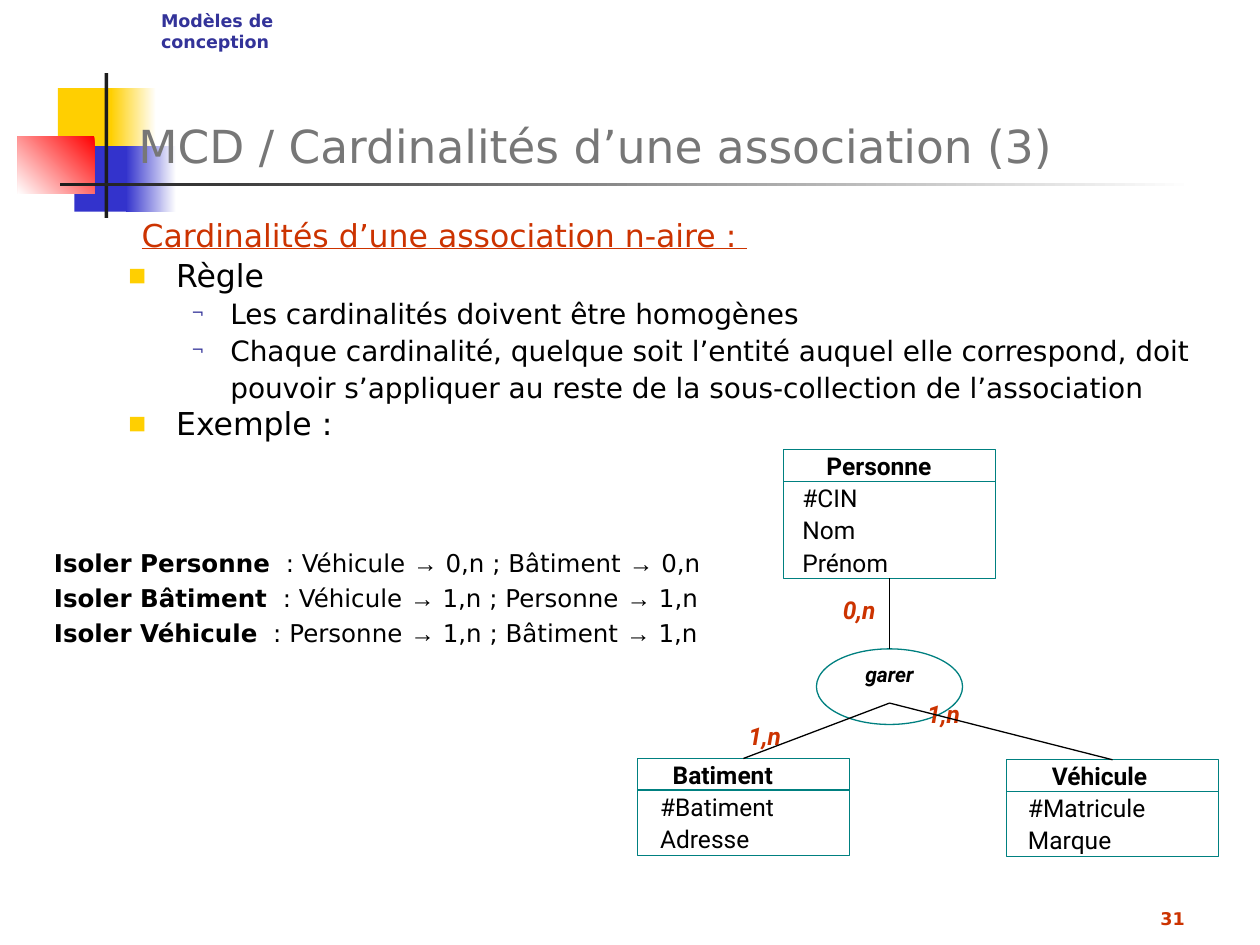
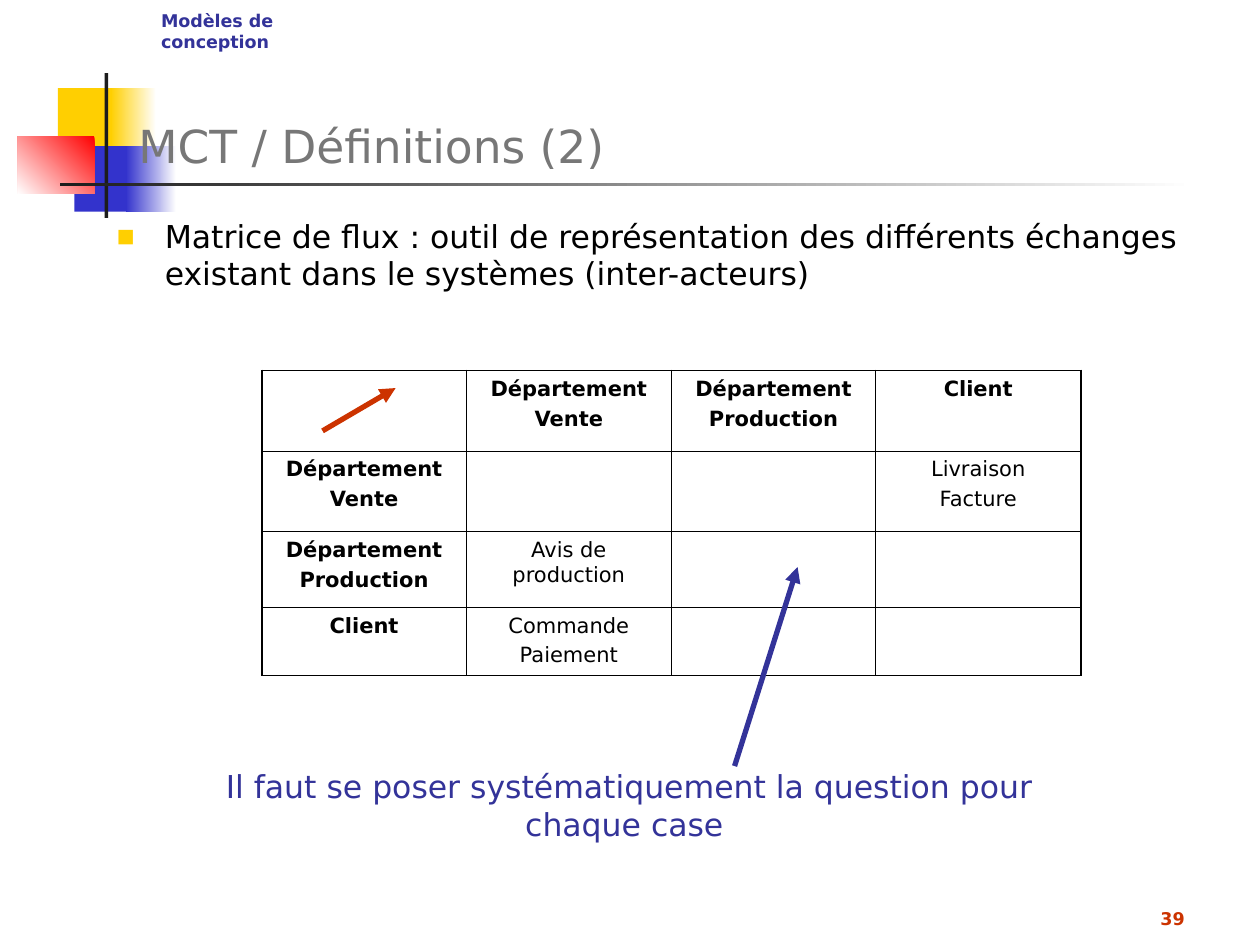
from lxml.etree import SubElement
from pptx import Presentation
from pptx.dml.color import RGBColor
from pptx.enum.shapes import MSO_CONNECTOR as Connector, MSO_SHAPE as Shape
from pptx.enum.text import MSO_ANCHOR as Anchor, PP_ALIGN as Align
from pptx.oxml.ns import qn
from pptx.util import Inches, Pt

BLACK, GREY, DARK, WHITE = "000000", "777777", "1C1C1C", "FFFFFF"
YELLOW, BLUE, RED, NAVY, ORANGE, TEAL = "FFCF01", "3333CC", "FF0000", "333399", "CC3300", "008080"

BODY = {"name": "DejaVu Sans", "size": Pt(18), "color": BLACK}
TITLE = {**BODY, "size": Pt(26), "color": GREY}
HEADER = {**BODY, "size": Pt(10), "color": NAVY, "bold": True}
NUMBER = {**HEADER, "color": ORANGE}
DIAGRAM = {"name": "Roboto", "size": Pt(14), "color": BLACK}
CARDINALITY = {**DIAGRAM, "color": ORANGE, "bold": True, "italic": True}


def rgb(value):
    return RGBColor.from_string(value)


def write(frame, paragraphs, font, layout={}, anchor=Anchor.TOP):
    frame.word_wrap = True
    frame.vertical_anchor = anchor
    for index, runs in enumerate(paragraphs):
        paragraph = frame.add_paragraph() if index else frame.paragraphs[0]
        for key, value in layout.items():
            if index or key != "space_before":
                setattr(paragraph, key, value)
        for text, changes in [(runs, {})] if isinstance(runs, str) else runs:
            run = paragraph.add_run()
            run.text = text
            for key, value in {**font, **changes}.items():
                if key == "color":
                    run.font.color.rgb = rgb(value)
                else:
                    setattr(run.font, key, value)


prs = Presentation()
prs.slide_width, prs.slide_height = Inches(10), Inches(7.5)

decoration = [
    ((0.46, 0.7, 0.48, 0.52), [YELLOW], 0),
    ((0.88, 0.7, 0.36, 0.52), [WHITE, YELLOW], 180),
    ((0.59, 1.16, 0.46, 0.52), [BLUE], 0),
    ((1, 1.16, 0.4, 0.52), [WHITE, BLUE], 180),
    ((0.14, 1.08, 0.61, 0.46), [RED, WHITE], 225),
    ((0.83, 0.58, 0.03, 1.15), [DARK], 0),
    ((0.48, 1.45, 9, 0.03), [WHITE, DARK], 180),
]
rule = [
    [(" ", {"size": Pt(24)}), ("Cardinalités d’une association n-aire : ", {"color": ORANGE, "underline": True})],
    "Règle",
    [("Les cardinalités doivent être homogènes", {"size": Pt(16)})],
    [("Chaque cardinalité, quelque soit l’entité auquel elle correspond, doit pouvoir "
      "s’appliquer au reste de la sous-collection de l’association", {"size": Pt(16)})],
    "Exemple :",
]
matrix_definition = [
    "Matrice de flux : outil de représentation des différents échanges existant dans le systèmes (inter-acteurs)"
]
contents = [
    ("MCD / Cardinalités d’une association (3)", "31", (0.92, 1.58, 8.83, 2), rule, [None, 0, 1, 1, 0]),
    ("MCT / Définitions (2)", "39", (0.83, 1.67, 8.83, 4.42), matrix_definition, [0]),
]
bullets = [("■", YELLOW, 60, 0.38, 0.38), ("¬", NAVY, 55, 0.81, 0.31)]

for title, number, body_area, body_text, levels in contents:
    slide = prs.slides.add_slide(prs.slide_layouts[6])
    for area, colors, angle in decoration:
        block = slide.shapes.add_shape(Shape.RECTANGLE, *map(Inches, area))
        block.shadow.inherit = False
        block.line.fill.background()
        if len(colors) == 1:
            block.fill.solid()
            block.fill.fore_color.rgb = rgb(colors[0])
        else:
            block.fill.gradient()
            block.fill.gradient_angle = angle
            for stop, color, position in zip(block.fill.gradient_stops, colors, (0, 1)):
                stop.color.rgb = rgb(color)
                stop.position = position

    for area, text, font, layout, anchor in [
        ((1, 0.17, 9.32, 1.25), [title], TITLE, {}, Anchor.BOTTOM),
        (body_area, body_text, BODY, {}, Anchor.TOP),
        ((1.18, 0.03, 1.78, 0.27), ["Modèles de conception"], HEADER, {}, Anchor.TOP),
        ((7.42, 6.92, 2.08, 0.5), [number], NUMBER, {"alignment": Align.RIGHT}, Anchor.BOTTOM),
    ]:
        frame = slide.shapes.add_textbox(*map(Inches, area)).text_frame
        write(frame, text, font, layout, anchor)
        if text is not body_text:
            continue
        for paragraph, level in zip(frame.paragraphs, levels):
            if level is None:
                continue
            mark, color, percent, margin, hanging = bullets[level]
            if level:
                paragraph.level = level
                paragraph.line_spacing = 1.1
            props = paragraph._p.get_or_add_pPr()
            props.set("marL", str(Inches(margin)))
            props.set("indent", str(-Inches(hanging)))
            SubElement(SubElement(props, qn("a:buClr")), qn("a:srgbClr"), val=color)
            SubElement(props, qn("a:buSzPct"), val=str(percent * 1000))
            SubElement(props, qn("a:buFont"), typeface="DejaVu Sans")
            SubElement(props, qn("a:buChar"), char=mark)

cardinality_slide, matrix_slide = prs.slides
lines = []

entities = [
    ("Personne", 6.22, 3.57, ["#CIN", "Nom", "Prénom"], 0.24, 1.11, 0.05, 0.93),
    ("Batiment", 5.06, 6.02, ["#Batiment", "Adresse"], 0.18, 1.11, 0.08, 1.21),
    ("Véhicule", 7.99, 6.03, ["#Matricule", "Marque"], 0.26, 1.03, 0.07, 1.19),
]
outlines = [(Shape.OVAL, (6.48, 5.15, 1.16, 0.6))]
labels = []
for name, left, top, attributes, name_shift, name_width, list_shift, list_width in entities:
    count = len(attributes)
    outlines.append((Shape.RECTANGLE, (left, top, 1.68, 0.27 + 0.25 * count)))
    lines.append((cardinality_slide, (left, top + 0.25), (left + 1.68, top + 0.25), TEAL, 0.75, []))
    labels += [
        ((left + list_shift, top + 0.19, list_width, 0.12 + 0.25 * count), attributes, DIAGRAM, 1.1),
        ((left + name_shift, top - 0.06, name_width, 0.36), [name], {**DIAGRAM, "bold": True}, 1.1),
    ]
for left, top, text in [(6.59, 4.67, "0,n"), (5.84, 5.67, "1,n"), (7.26, 5.5, "1,n")]:
    labels.append(((left, top, 0.48, 0.34), [text], CARDINALITY, 1.0))

isolations = []
for isolated, first, second, cardinality in [
    ("Personne", "Véhicule", "Bâtiment", "0,n"),
    ("Bâtiment", "Véhicule", "Personne", "1,n"),
    ("Véhicule", "Personne", "Bâtiment", "1,n"),
]:
    arrow = ("→", {"name": "Arial"})
    isolations.append([
        (f"Isoler {isolated}", {"bold": True}),
        (f"  : {first} ", {}), arrow,
        (f" {cardinality} ; {second} ", {}), arrow,
        (f" {cardinality}", {}),
    ])
labels.append(((0.33, 4.25, 5.67, 1.09), isolations, {**BODY, "size": Pt(14)}, 1.2))

figures = []
for kind, area in outlines:
    figure = cardinality_slide.shapes.add_shape(kind, *map(Inches, area))
    figure.shadow.inherit = False
    figure.fill.background()
    figure.line.color.rgb = rgb(TEAL)
    figure.line.width = Pt(0.75)
    figures.append(figure)
garer, personne, batiment, vehicule = figures
write(garer.text_frame, ["garer"], {**CARDINALITY, "size": Pt(12), "color": BLACK},
      {"alignment": Align.CENTER, "line_spacing": 0.8})

for area, text, font, spacing in labels:
    frame = cardinality_slide.shapes.add_textbox(*map(Inches, area)).text_frame
    write(frame, text, font, {"line_spacing": spacing})

lines += [
    (cardinality_slide, (7.06, 5.15), (7.06, 4.59), BLACK, 0.75,
     [("begin_connect", garer, 0), ("end_connect", personne, 2)]),
    (cardinality_slide, (7.06, 5.58), (5.9, 6.02), BLACK, 0.75, [("end_connect", batiment, 0)]),
    (cardinality_slide, (7.06, 5.58), (8.83, 6.03), BLACK, 0.75, [("end_connect", vehicule, 0)]),
    (matrix_slide, (2.56, 3.42), (3.14, 3.08), ORANGE, 3, []),
    (matrix_slide, (5.83, 6.08), (6.33, 4.5), NAVY, 3, []),
]

sales, production, client = ["Département", "Vente"], ["Département", "Production"], ["Client"]
flows = [
    [[], sales, production, client],
    [sales, [], [], ["Livraison", "Facture"]],
    [production, ["Avis de production"], [], []],
    [client, ["Commande", "Paiement"], [], []],
]
matrix = matrix_slide.shapes.add_table(4, 4, *map(Inches, (2.08, 2.94, 6.5, 2.43))).table
matrix.first_row = matrix.horz_banding = False
for column, width in zip(matrix.columns, (1.62, 1.63, 1.62, 1.63)):
    column.width = Inches(width)
for row, height in zip(matrix.rows, (0.64, 0.64, 0.6, 0.54)):
    row.height = Inches(height)
for row, flow_row in enumerate(flows):
    for column, flow in enumerate(flow_row):
        cell = matrix.cell(row, column)
        is_heading = row == 0 or column == 0
        write(cell.text_frame, flow, {**BODY, "size": Pt(12), "bold": is_heading},
              {"alignment": Align.CENTER, "space_before": Pt(3)})
        props = cell._tc.get_or_add_tcPr()
        for side, is_outer in [("L", column == 0), ("R", column == 3), ("T", row == 0), ("B", row == 3)]:
            border = SubElement(props, qn(f"a:ln{side}"), w=str(Pt(1.08 if is_outer else 0.45)))
            SubElement(SubElement(border, qn("a:solidFill")), qn("a:srgbClr"), val=BLACK)
        cell.fill.background()

advice = matrix_slide.shapes.add_textbox(*map(Inches, (1.57, 6.04, 6.85, 0.7)))
write(advice.text_frame, ["Il faut se poser systématiquement la question pour chaque case "],
      {**BODY, "color": NAVY}, {"alignment": Align.CENTER})

for slide, start, end, color, width, joins in lines:
    link = slide.shapes.add_connector(Connector.STRAIGHT, *map(Inches, start + end))
    link.line.color.rgb = rgb(color)
    link.line.width = Pt(width)
    SubElement(link._element.spPr, qn("a:effectLst"))
    if slide is matrix_slide:
        SubElement(link.line._get_or_add_ln(), qn("a:tailEnd"), type="triangle")
    for method, figure, site in joins:
        getattr(link, method)(figure, site)

prs.save("out.pptx")
